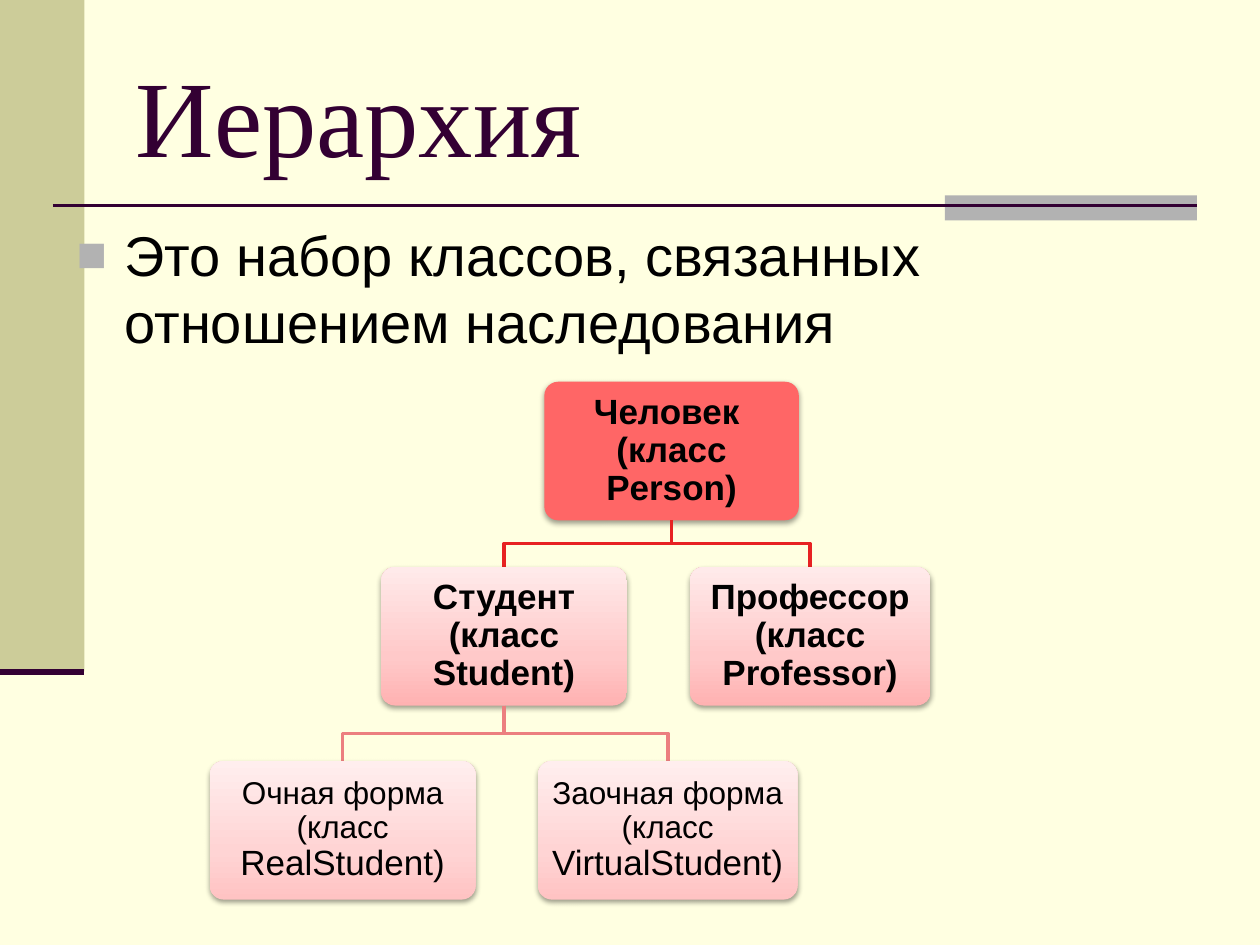
import pptx
import pptx.dml.color
import pptx.enum.shapes
import pptx.enum.text
import pptx.oxml
import pptx.oxml.ns
import pptx.util
from pptx.util import Inches

COLOURS = {
    "background": "FFFFE1", "sidebar": "CCCC99", "accent": "B2B2B2",
    "rule": "330033", "text": "000000", "root": "FF6666",
    "root link": "E72222", "student link": "EC7F7F",
}
GRADIENTS = {
    "class": ((0, "FFB2B2"), (35, "FFC9C9"), (100, "FFEAEA")),
    "subclass": ((0, "FFC3C3"), (35, "FFD4D4"), (100, "FFEEEE")),
}
NAMESPACE = pptx.oxml.ns.nsdecls("a")
MIDDLE = pptx.enum.text.MSO_ANCHOR.MIDDLE
NODE_HEIGHT = 1.1


def colour(name):
    return pptx.dml.color.RGBColor.from_string(COLOURS[name])


def apply(target, values):
    for name, value in values.items():
        setattr(target, name, value)


class SlideBuilder:
    """Holds the style and the current slide."""

    def __init__(self, slide, font="Arial"):
        self.slide = slide
        self.font = font
        slide.background.fill.solid()
        slide.background.fill.fore_color.rgb = colour("background")

    def shape(self, kind, box, fill):
        shape = self.slide.shapes.add_shape(kind, *map(Inches, box))
        shape.shadow.inherit = False
        shape.line.fill.background()
        if fill in GRADIENTS:
            self.gradient(shape, GRADIENTS[fill])
        else:
            shape.fill.solid()
            shape.fill.fore_color.rgb = colour(fill)
        return shape

    def gradient(self, shape, stops):
        shape.fill.gradient()
        shape.fill.gradient_angle = 90
        stop_list = shape._element.spPr.find(".//" + pptx.oxml.ns.qn("a:gsLst"))
        stop_list.clear()
        for position, value in stops:
            stop_list.append(pptx.oxml.parse_xml(
                f'<a:gs {NAMESPACE} pos="{position * 1000}">'
                f'<a:srgbClr val="{value}"/></a:gs>'))

    def rectangle(self, box, fill):
        return self.shape(pptx.enum.shapes.MSO_SHAPE.RECTANGLE, box, fill)

    def rule(self, left, right, y, width):
        line = self.slide.shapes.add_connector(
            pptx.enum.shapes.MSO_CONNECTOR.STRAIGHT,
            Inches(left), Inches(y), Inches(right), Inches(y))
        line.line.color.rgb = colour("rule")
        line.line.width = pptx.util.Pt(width)
        line._element.spPr.append(pptx.oxml.parse_xml(f"<a:effectLst {NAMESPACE}/>"))

    def run(self, paragraph, text, size, **font_values):
        run = paragraph.add_run()
        run.text = text
        run.font.color.rgb = colour(font_values.pop("colour", "text"))
        apply(run.font, {"name": self.font, "size": pptx.util.Pt(size), **font_values})

    def text_box(self, box, **frame_values):
        frame = self.slide.shapes.add_textbox(*map(Inches, box)).text_frame
        apply(frame, {"word_wrap": True, **frame_values})
        return frame.paragraphs[0]

    def bullet(self, paragraph):
        properties = paragraph._p.get_or_add_pPr()
        properties.set("marL", str(Inches(0.38)))
        properties.set("indent", str(Inches(-0.38)))
        for element in (f'<a:buClr {NAMESPACE}><a:srgbClr val="{COLOURS["accent"]}"/></a:buClr>',
                        f'<a:buSzPct {NAMESPACE} val="90000"/>',
                        f'<a:buFont {NAMESPACE} typeface="{self.font}"/>',
                        f'<a:buChar {NAMESPACE} char="■"/>'):
            properties.append(pptx.oxml.parse_xml(element))

    def link(self, start, end, name):
        """Draws an elbow from a parent's bottom to a child's top."""
        (x1, y1), (x2, y2) = start, end
        middle = (y1 + y2) / 2
        points = [(Inches(x), Inches(y)) for x, y in
                  ((x1, y1), (x1, middle), (x2, middle), (x2, y2))]
        builder = self.slide.shapes.build_freeform(*points[0])
        builder.add_line_segments(points[1:], close=False)
        shape = builder.convert_to_shape()
        shape.shadow.inherit = False
        shape.fill.background()
        shape.line.color.rgb = colour(name)
        shape.line.width = pptx.util.Pt(2)

    def node(self, centre, top, width, fill, lines, bold):
        """Draws a class box; each line is a list of (text, size) runs."""
        shape = self.shape(pptx.enum.shapes.MSO_SHAPE.ROUNDED_RECTANGLE,
                           (centre - width / 2, top, width, NODE_HEIGHT), fill)
        shape.adjustments[0] = 0.1
        shape._element.spPr.find(pptx.oxml.ns.qn("a:effectLst")).append(pptx.oxml.parse_xml(
            f'<a:outerShdw {NAMESPACE} blurRad="40000" dist="20000" dir="5400000" '
            'rotWithShape="0"><a:srgbClr val="000000"><a:alpha val="38000"/>'
            '</a:srgbClr></a:outerShdw>'))
        frame = shape.text_frame
        # The rounded corners already inset the text a little
        margin = Inches(0.08 if bold else 0.06)
        apply(frame, {"word_wrap": True, "vertical_anchor": MIDDLE,
                      "margin_left": margin, "margin_right": margin,
                      "margin_top": margin, "margin_bottom": margin})
        paragraph = frame.paragraphs[0]
        apply(paragraph, {"alignment": pptx.enum.text.PP_ALIGN.CENTER, "line_spacing": 0.9})
        for index, runs in enumerate(lines):
            if index:
                paragraph.add_line_break()
            for text, size in runs:
                self.run(paragraph, text, size, bold=bold)


def main():
    presentation = pptx.Presentation()
    presentation.slide_width, presentation.slide_height = Inches(10), Inches(7.5)
    builder = SlideBuilder(presentation.slides.add_slide(presentation.slide_layouts[6]))

    # Background decoration
    builder.rectangle((0, 0, 0.67, 5.33), "sidebar")
    builder.rectangle((7.5, 1.55, 2, 0.2), "accent")
    builder.rule(0.42, 9.5, 1.63, 1.5)
    builder.rule(0, 0.67, 5.33, 3.5)

    # Title and definition
    title = builder.text_box((0.98, 0.28, 8.5, 1.25), vertical_anchor=MIDDLE)
    builder.run(title, "Иерархия", 62, name="Times New Roman", colour="rule")
    definition = builder.text_box((0.51, 1.7, 8.98, 0.94))
    builder.bullet(definition)
    builder.run(definition, "Это набор классов, связанных отношением наследования", 32)

    # Class tree: key, parent, centre, top, width, fill, link colour, lines
    nodes = (
        ("person", None, 5.33, 3.03, 2.02, "root", None,
         [[("Человек ", 20)], [("(класс Person)", 20)]]),
        ("student", "person", 4, 4.5, 1.95, "class", "root link",
         [[("Студент (класс Student)", 20)]]),
        ("professor", "person", 6.43, 4.5, 1.91, "class", "root link",
         [[("Профессор (класс Professor)", 20)]]),
        ("real", "student", 2.72, 6.04, 2.11, "subclass", "student link",
         [[("Очная форма (класс ", 18), ("RealStudent)", 20)]]),
        ("virtual", "student", 5.3, 6.04, 2.06, "subclass", "student link",
         [[("Заочная форма (класс", 18)], [("VirtualStudent)", 20)]]),
    )
    bottoms = {}
    for key, parent, centre, top, width, fill, link_colour, lines in nodes:
        bottoms[key] = (centre, top + NODE_HEIGHT)
        if parent:
            builder.link(bottoms[parent], (centre, top), link_colour)
        builder.node(centre, top, width, fill, lines, bold=fill != "subclass")

    presentation.save("out.pptx")


if __name__ == "__main__":
    main()
